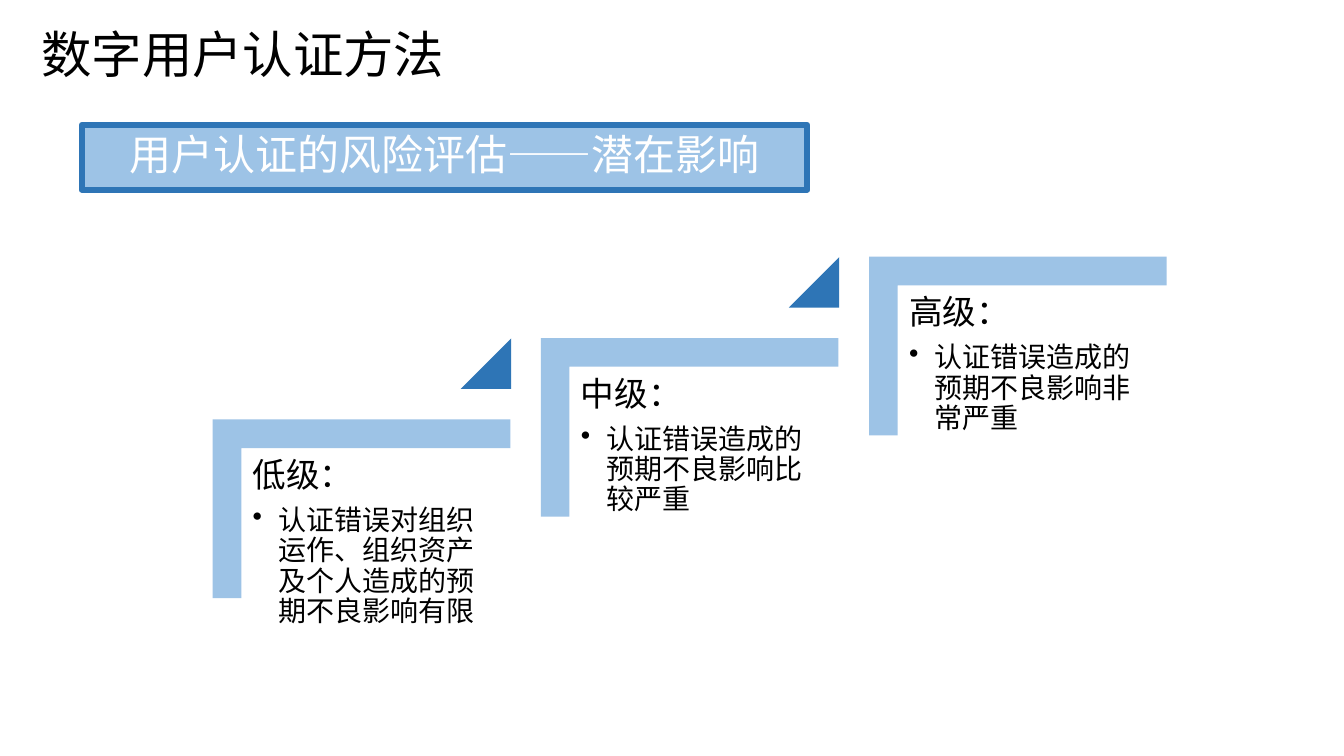
from lxml.etree import SubElement
from pptx import Presentation
from pptx.dml.color import RGBColor as RGB
from pptx.enum.shapes import MSO_SHAPE as Kind
from pptx.enum.text import MSO_ANCHOR as Anchor, PP_ALIGN as Align
from pptx.oxml.ns import qn
from pptx.util import Cm, Pt

FONT = "Noto Sans CJK SC"
BLACK = RGB(0x00, 0x00, 0x00)
WHITE = RGB(0xFF, 0xFF, 0xFF)
PALE = RGB(0x9D, 0xC3, 0xE6)
DEEP = RGB(0x2E, 0x75, 0xB6)
LEVELS = [
    ("低级：", "认证错误对组织运作、组织资产及个人造成的预期不良影响有限"),
    ("中级：", "认证错误造成的预期不良影响比较严重"),
    ("高级：", "认证错误造成的预期不良影响非常严重"),
]


def add_run(para, text, size, color=BLACK):
    """Add one styled run to a paragraph."""
    run = para.add_run()
    run.text = text
    run.font.size = Pt(size)
    run.font.name = FONT
    run.font.color.rgb = color
    SubElement(run.font._element, qn("a:ea"), typeface=FONT)


def set_frame(frame, side, edge, anchor):
    """Set margins, wrapping and anchor of a text frame."""
    frame.word_wrap = True
    frame.margin_left = frame.margin_right = Cm(side)
    frame.margin_top = frame.margin_bottom = Cm(edge)
    frame.vertical_anchor = anchor


def add_box(slide, left, top, width, height, side, edge, anchor):
    """Add a text box and return its frame."""
    box = slide.shapes.add_textbox(Cm(left), Cm(top), Cm(width), Cm(height))
    set_frame(box.text_frame, side, edge, anchor)
    return box.text_frame


def add_solid(slide, kind, left, top, width, height, fill):
    """Add a filled preset shape without outline or shadow."""
    shape = slide.shapes.add_shape(kind, Cm(left), Cm(top), Cm(width), Cm(height))
    shape.shadow.inherit = False
    shape.fill.solid()
    shape.fill.fore_color.rgb = fill
    shape.line.fill.background()
    return shape


def add_title(slide, text):
    """Add the slide title."""
    frame = add_box(slide, 0.76, 0, 15.01, 2.69, 0.28, 0.15, Anchor.MIDDLE)
    add_run(frame.paragraphs[0], text, 36)


def add_banner(slide, text):
    """Add the outlined topic banner."""
    shape = add_solid(slide, Kind.RECTANGLE, 2.06, 3.15, 18.29, 1.63, PALE)
    shape.line.color.rgb = DEEP
    shape.line.width = Pt(4.33)
    SubElement(shape.line._ln, qn("a:round"))
    set_frame(shape.text_frame, 1.19, 0, Anchor.MIDDLE)
    para = shape.text_frame.paragraphs[0]
    para.alignment = Align.CENTER
    para.line_spacing = 0.9
    add_run(para, text, 30, WHITE)


def add_bullet(para):
    """Give a paragraph a hanging round bullet."""
    props = para._p.get_or_add_pPr()
    props.set("marL", str(Cm(0.64)))
    props.set("indent", str(Cm(-0.64)))
    SubElement(props, qn("a:buChar"), char="•")


def add_step(slide, dx, dy, head, body):
    """Add one stair with its heading and bullet."""
    corner = add_solid(slide, Kind.CORNER, 6.86 + dx, 9.07 + dy, 4.5, 7.5, PALE)
    corner.rotation = 90
    corner.adjustments[0] = corner.adjustments[1] = 0.16
    frame = add_box(slide, 6.12 + dx, 11.3 + dy, 6.76, 5.92, 0.25, 0.25, Anchor.TOP)
    first = frame.paragraphs[0]
    first.line_spacing = 0.9
    first.space_after = Pt(8.4)
    add_run(first, head, 24)
    point = frame.add_paragraph()
    point.level = 1
    add_bullet(point)
    point.line_spacing = 0.9
    point.space_after = Pt(3)
    add_run(point, body, 20)


def add_rise(slide, dx, dy):
    """Add the triangle that leads up to the next stair."""
    shape = add_solid(slide, Kind.ISOSCELES_TRIANGLE, 11.61 + dx, 8.53 + dy, 1.27, 1.27, DEEP)
    shape.adjustments[0] = 1


def main():
    """Build and save the slide."""
    deck = Presentation()
    deck.slide_width, deck.slide_height = Cm(33.87), Cm(19.05)
    slide = deck.slides.add_slide(deck.slide_layouts[6])
    add_title(slide, "数字用户认证方法")
    add_banner(slide, "用户认证的风险评估——潜在影响")
    for i, (head, body) in enumerate(LEVELS):
        dx, dy = 8.27 * i, -2.05 * i
        add_step(slide, dx, dy, head, body)
        if i < len(LEVELS) - 1:
            add_rise(slide, dx, dy)
    deck.save("out.pptx")


if __name__ == "__main__":
    main()
